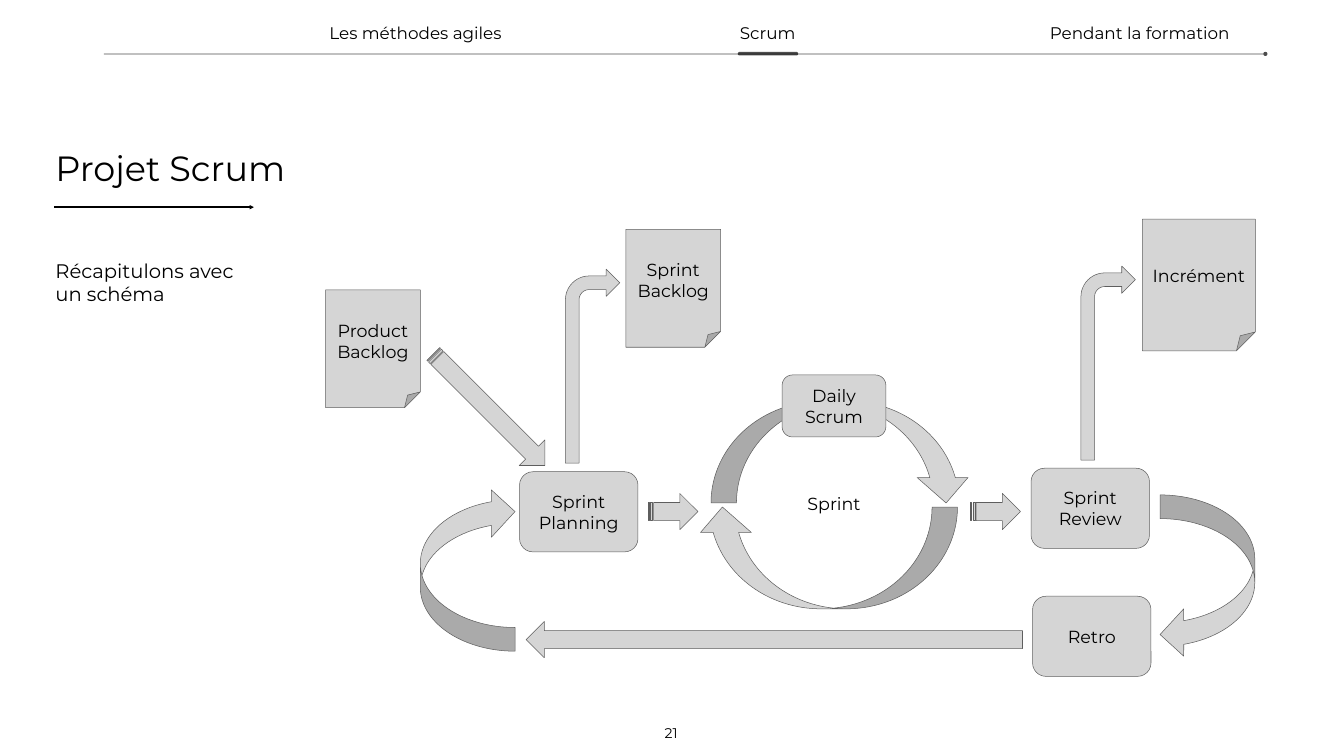
from dataclasses import dataclass

from lxml.etree import SubElement
from pptx import Presentation
from pptx.dml.color import RGBColor
from pptx.enum.shapes import MSO_CONNECTOR as Link, MSO_SHAPE as Shape
from pptx.enum.text import MSO_ANCHOR as Anchor, MSO_AUTO_SIZE as Fit, PP_ALIGN as Align
from pptx.oxml.ns import qn
from pptx.util import Pt

PX = 9144


def px(*lengths):
    """Turn px lengths (100 to the inch) into EMU."""
    return [length * PX for length in lengths]


@dataclass(frozen=True)
class Theme:
    """Colours, font and type sizes of the deck."""
    ink: RGBColor = RGBColor(0x00, 0x00, 0x00)
    fill: RGBColor = RGBColor(0xD5, 0xD5, 0xD5)
    edge: RGBColor = RGBColor(0x5E, 0x5E, 0x5E)
    font: str = "Montserrat"
    title: int = 50
    subtitle: int = 28
    label: int = 25
    nav: int = 24
    number: int = 20


class Canvas:
    """Draws styled elements on the current slide or group."""

    def __init__(self, page, theme):
        self.theme = theme
        self.page = page
        self.shapes = page.shapes

    def start_group(self):
        """Send the next elements into a new group."""
        self.shapes = self.page.shapes.add_group_shape().shapes

    def end_group(self):
        """Send the next elements to the slide again."""
        self.shapes = self.page.shapes

    def label(self, box, text, size, align=Align.CENTER, anchor=Anchor.MIDDLE, inset=10):
        """Fill a box with one styled paragraph."""
        frame = box.text_frame
        frame.word_wrap = True
        frame.vertical_anchor = anchor
        frame.margin_left = frame.margin_top = inset * PX
        frame.margin_right = frame.margin_bottom = inset * PX
        para = frame.paragraphs[0]
        para.text = text
        para.alignment = align
        para.font.name = self.theme.font
        para.font.size = Pt(size)
        para.font.color.rgb = self.theme.ink

    def text(self, place, text, size, grow=True, **style):
        """Add a text box."""
        box = self.shapes.add_textbox(*px(*place))
        self.label(box, text, size, inset=6 if grow else 10, **style)
        box.text_frame.auto_size = Fit.SHAPE_TO_FIT_TEXT if grow else Fit.NONE

    def shape(self, kind, place, text="", turn=0):
        """Add a grey outlined preset shape, with an optional label."""
        shape = self.shapes.add_shape(kind, *px(*place))
        shape.shadow.inherit = False
        shape.rotation = turn
        shape.fill.solid()
        shape.fill.fore_color.rgb = self.theme.fill
        shape.line.color.rgb = self.theme.edge
        shape.line.width = Pt(0.75)
        if text:
            self.label(shape, text, self.theme.label)

    def fade(self, shape, percent):
        """Make the colours of a shape see-through."""
        for colour in shape.element.spPr.iter(qn("a:srgbClr")):
            SubElement(colour, qn("a:alpha"), val=str(percent * 1000))

    def marker(self, place, opacity):
        """Add a round-ended bar that marks the current section."""
        bar = self.shapes.add_shape(Shape.ROUNDED_RECTANGLE, *px(*place))
        bar.shadow.inherit = False
        bar.adjustments[0] = 0.5
        bar.fill.solid()
        bar.fill.fore_color.rgb = self.theme.ink
        bar.line.fill.background()
        self.fade(bar, opacity)

    def rule(self, left, right, y, width, tip, opacity=100):
        """Add a horizontal line with a tip at its right end."""
        line = self.shapes.add_connector(Link.STRAIGHT, *px(left, y, right, y))
        line.line.color.rgb = self.theme.ink
        line.line.width = Pt(width)
        SubElement(line.element.spPr.find(qn("a:ln")), qn("a:tailEnd"), type=tip)
        SubElement(line.element.spPr, qn("a:effectLst"))
        if opacity < 100:
            self.fade(line, opacity)


def main():
    """Build the Scrum project slide."""
    theme = Theme()
    deck = Presentation()
    deck.slide_width, deck.slide_height = px(2667, 1500)
    canvas = Canvas(deck.slides.add_slide(deck.slide_layouts[6]), theme)

    canvas.rule(206, 2511, 107, 1, "oval", opacity=70)
    canvas.rule(108, 504, 411, 2, "triangle")
    canvas.text((104, 285, 1118, 95), "Projet Scrum", theme.title, align=Align.LEFT)
    canvas.text((104, 507, 383, 105), "Récapitulons avec un schéma", theme.subtitle, align=Align.LEFT)
    canvas.text((1312, 1431, 40, 45), "21", theme.number, anchor=Anchor.BOTTOM)

    canvas.marker((1464, 103, 120, 7), opacity=69)
    for left, width, name in (
        (615, 419, "Les méthodes agiles"),
        (1314, 419, "Scrum"),
        (2013, 497, "Pendant la formation"),
    ):
        canvas.text((left, 39, width, 52), name, theme.nav)

    for left, top, name in (
        (2049, 1183, "Retro"),
        (1031, 936, "Sprint Planning"),
        (2046, 929, "Sprint Review"),
    ):
        canvas.shape(Shape.ROUNDED_RECTANGLE, (left, top, 235, 159), name)
    for place, name in (
        ((646, 575, 188, 234), "Product Backlog"),
        ((1242, 455, 188, 234), "Sprint Backlog"),
        ((2267, 435, 224, 261), "Incrément"),
    ):
        canvas.shape(Shape.FOLDED_CORNER, place, name)

    for left, top in ((1122, 534), (2145, 528)):
        canvas.shape(Shape.BENT_ARROW, (left, top, 108, 385))
    for left, top, turn in ((2302, 982, 0), (834, 968, 180)):
        canvas.shape(Shape.CURVED_LEFT_ARROW, (left, top, 188, 324), turn=turn)
    canvas.shape(Shape.RIGHT_ARROW, (1044, 1233, 985, 72), turn=180)

    canvas.start_group()
    canvas.text((1383, 968, 544, 88), "Sprint", theme.label, grow=False, anchor=Anchor.TOP)
    for left, top, turn in ((1411, 796, 0), (1383, 1006, 180)):
        canvas.shape(Shape.CURVED_DOWN_ARROW, (left, top, 517, 202), turn=turn)
    canvas.shape(Shape.ROUNDED_RECTANGLE, (1552, 744, 206, 123), "Daily Scrum")
    canvas.end_group()

    for left, top, width, turn in ((814, 777, 313, 45), (1286, 979, 99, 0), (1926, 979, 99, 0)):
        canvas.shape(Shape.STRIPED_RIGHT_ARROW, (left, top, width, 72), turn=turn)

    deck.save("out.pptx")


if __name__ == "__main__":
    main()
